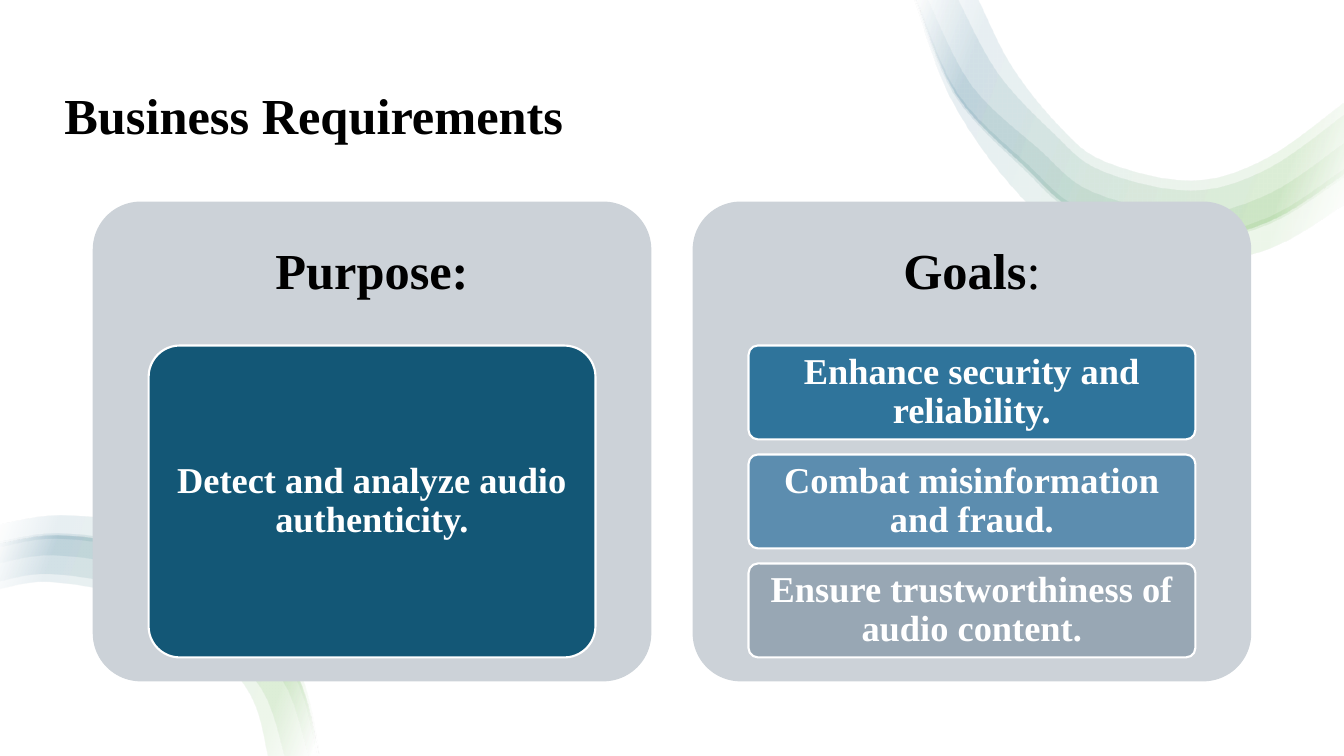
from lxml import etree
from pptx import Presentation
from pptx import util as u
from pptx.dml.color import RGBColor
from pptx.enum import shapes, text
from pptx.oxml.ns import qn

WIDTH, HEIGHT = 13.33, 7.5
FONT = "Times New Roman"
CURVE_STEPS = 6
RIBBON_STOPS = [(2, "FFFFFF"), (16, "4EA72E"), (85, "156082"), (100, "FFFFFF")]
RIBBON_ALPHA = 10

# Outer and inner edge of each swoosh, point against point.
SWOOSHES = [
    ([(9.07, 0), (9.42, 0.96), (10.01, 1.82), (10.65, 2.35), (11.76, 2.61),
      (12.61, 2.45), (WIDTH, 2.02)],
     [(9.7, 0), (10.03, 0.66), (10.5, 1.25), (10.95, 1.6), (11.81, 1.79),
      (12.55, 1.57), (WIDTH, 1.01)]),
    ([(3.17, HEIGHT), (2.95, 6.62), (2.27, 5.73), (1.4, 5.24), (0.61, 5.12), (0, 5.21)],
     [(2.65, HEIGHT), (2.48, 6.9), (1.99, 6.33), (1.28, 5.93), (0.49, 5.78), (0, 5.85)]),
]
# Each ribbon fills this share of the way from the outer to the inner edge.
RIBBON_SPANS = [(0, 0.35), (0.27, 0.6), (0.3, 0.88), (0.3, 1)]

PANEL_TOP, PANEL_WIDTH, PANEL_HEIGHT = 2, 5.54, 4.76
PANEL_LEFT, PANEL_PITCH = 0.92, 5.95
CARD_GAP = 0.15
PANELS = [
    ([("Purpose:", True)],
     [("Detect and analyze audio authenticity.", "135776")]),
    ([("Goals", True), (":", False)],
     [("Enhance security and reliability.", "2F749B"),
      ("Combat misinformation and fraud.", "5C8DAF"),
      ("Ensure trustworthiness of audio content.", "98A7B4")]),
]


def color(code):
    return RGBColor.from_string(code)


def inches(*lengths):
    return [u.Inches(length) for length in lengths]


def smooth(points):
    """Catmull-Rom curve through the points, as a list of short steps."""
    padded = [points[0], *points, points[-1]]
    curve = []
    for a, b, c, d in zip(padded, padded[1:], padded[2:], padded[3:]):
        for step in range(CURVE_STEPS):
            t = step / CURVE_STEPS
            curve.append(tuple(
                q + (r - p) * t / 2 + (2 * p - 5 * q + 4 * r - s) * t ** 2 / 2
                + (3 * q - p - 3 * r + s) * t ** 3 / 2
                for p, q, r, s in zip(a, b, c, d)))
    return curve + [points[-1]]


def edge_at(swoosh, share):
    """Curve between the swoosh's edges, drawn to the outer one near its start."""
    points = []
    for index, (outer, inner) in enumerate(zip(*swoosh)):
        local_share = share ** max(1, 3 - index)
        points.append(tuple(o + (i - o) * local_share for o, i in zip(outer, inner)))
    return smooth(points)


def add_ribbon(slide, swoosh, start, end):
    edges = edge_at(swoosh, start) + edge_at(swoosh, end)[::-1]
    outline = [inches(*point) for point in edges]
    builder = slide.shapes.build_freeform(*outline[0])
    builder.add_line_segments(outline[1:], close=True)
    ribbon = builder.convert_to_shape()
    ribbon.shadow.inherit = False
    ribbon.line.fill.background()
    ribbon.fill.gradient()
    ribbon.fill.gradient_angle = 160
    stops = ribbon._element.spPr.find(qn("a:gradFill")).find(qn("a:gsLst"))
    for old_stop in list(stops):
        stops.remove(old_stop)
    for position, code in RIBBON_STOPS:
        stop = etree.SubElement(stops, qn("a:gs"), pos=str(position * 1000))
        tint = etree.SubElement(stop, qn("a:srgbClr"), val=code)
        etree.SubElement(tint, qn("a:alpha"), val=str(RIBBON_ALPHA * 1000))


def write(shape, runs, size, code, frame_format, paragraph_format):
    frame = shape.text_frame
    frame.word_wrap = True
    for key, value in frame_format.items():
        setattr(frame, key, value)
    paragraph = frame.paragraphs[0]
    for key, value in paragraph_format.items():
        setattr(paragraph, key, value)
    for wording, bold in runs:
        run = paragraph.add_run()
        run.text = wording
        for key, value in dict(name=FONT, size=u.Pt(size), bold=bold).items():
            setattr(run.font, key, value)
        run.font.color.rgb = color(code)


def write_centred(shape, runs, size, code, side, end):
    margins = dict(margin_left=side, margin_right=side, margin_top=end, margin_bottom=end)
    frame_format = {key: u.Inches(value) for key, value in margins.items()}
    frame_format["vertical_anchor"] = text.MSO_ANCHOR.MIDDLE
    write(shape, runs, size, code, frame_format,
          dict(alignment=text.PP_ALIGN.CENTER, line_spacing=0.9))


def add_rounded(slide, box, fill, outline=None):
    rounded = slide.shapes.add_shape(shapes.MSO_SHAPE.ROUNDED_RECTANGLE, *inches(*box))
    rounded.adjustments[0] = 0.1
    rounded.shadow.inherit = False
    rounded.fill.solid()
    rounded.fill.fore_color.rgb = color(fill)
    if outline:
        rounded.line.color.rgb = color(outline)
        rounded.line.width = u.Pt(1.5)
    else:
        rounded.line.fill.background()
    return rounded


def add_panel(slide, left, heading, cards):
    add_rounded(slide, (left, PANEL_TOP, PANEL_WIDTH, PANEL_HEIGHT), "CCD2D8")
    heading_height = 0.3 * PANEL_HEIGHT
    heading_box = slide.shapes.add_textbox(
        *inches(left, PANEL_TOP, PANEL_WIDTH, heading_height))
    write_centred(heading_box, heading, 36, "000000", 0.15, 0.15)
    card_height = (0.65 * PANEL_HEIGHT + CARD_GAP) / len(cards) - CARD_GAP
    for row, (wording, fill) in enumerate(cards):
        top = PANEL_TOP + heading_height + row * (card_height + CARD_GAP)
        box = (left + 0.1 * PANEL_WIDTH, top, 0.8 * PANEL_WIDTH, card_height)
        card = add_rounded(slide, box, fill, "FFFFFF")
        write_centred(card, [(wording, True)], 26, "FFFFFF", 0.07, 0.05)


def main():
    deck = Presentation()
    deck.slide_width, deck.slide_height = inches(WIDTH, HEIGHT)
    slide = deck.slides.add_slide(deck.slide_layouts[6])
    slide.background.fill.solid()
    slide.background.fill.fore_color.rgb = color("FFFFFF")
    for swoosh in SWOOSHES:
        for start, end in RIBBON_SPANS:
            add_ribbon(slide, swoosh, start, end)
    title = slide.shapes.add_textbox(*inches(0.54, 0.73, 6.39, 1.62))
    write(title, [("Business Requirements", True)], 36, "000000",
          dict(margin_top=u.Inches(0.1)), {})
    for column, (heading, cards) in enumerate(PANELS):
        add_panel(slide, PANEL_LEFT + column * PANEL_PITCH, heading, cards)
    deck.save("out.pptx")


if __name__ == "__main__":
    main()
